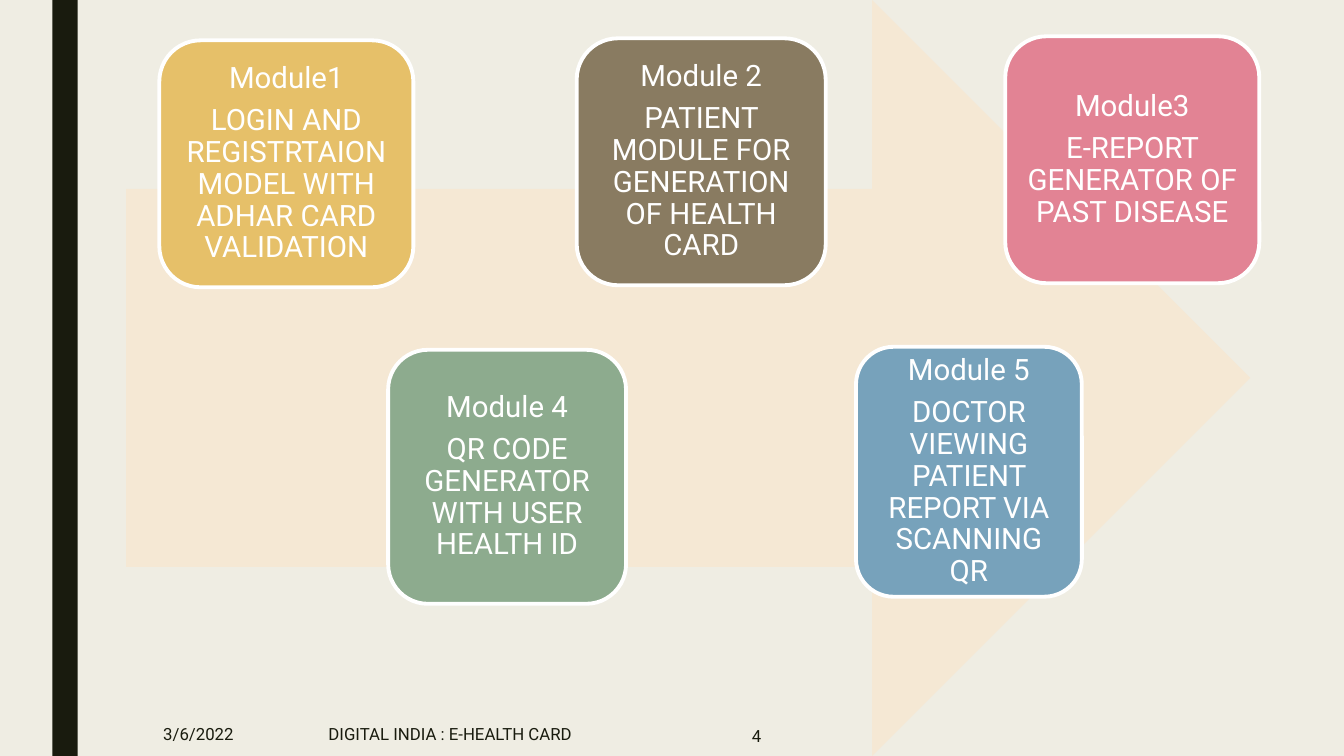
from pptx import Presentation
from pptx.dml.color import RGBColor
from pptx.enum.shapes import MSO_SHAPE
from pptx.enum.text import MSO_ANCHOR, PP_ALIGN
from pptx.util import Inches, Pt

FONT = "Roboto"
INK = "191B0E"
WHITE = "FFFFFF"
MODULE_SIZE = 21
FOOTER_SIZE = 12

# title, description, fill, (left, top, width, height)
MODULES = [
    ("Module1", "LOGIN AND REGISTRTAION MODEL WITH ADHAR CARD VALIDATION",
     "E6C069", (1.58, 0.4, 2.52, 2.45)),
    ("Module 2", "PATIENT MODULE FOR GENERATION OF HEALTH CARD",
     "897B61", (5.72, 0.38, 2.47, 2.45)),
    ("Module 4", "QR CODE GENERATOR WITH USER HEALTH ID",
     "8DAB8E", (3.85, 3.47, 2.36, 2.52)),
    ("Module 5", "DOCTOR VIEWING PATIENT REPORT VIA SCANNING QR",
     "77A2BB", (8.49, 3.44, 2.24, 2.48)),
    ("Module3", "E-REPORT GENERATOR OF PAST DISEASE",
     "E28394", (9.97, 0.36, 2.52, 2.45)),
]

FOOTERS = [
    ("3/6/2022", (1.52, 7.06, 1.32, 0.44), PP_ALIGN.LEFT),
    ("DIGITAL INDIA : E-HEALTH CARD", (3.16, 7.06, 6.87, 0.44), PP_ALIGN.LEFT),
    ("4", (5.9, 7.08, 1.75, 0.44), PP_ALIGN.RIGHT),
]


def paint(color_format, color):
    color_format.rgb = RGBColor.from_string(color)


def add_plain_shape(page, preset, place, fill):
    """Add a filled preset shape without outline or shadow."""
    shape = page.shapes.add_shape(preset, *map(Inches, place))
    shape.shadow.inherit = False
    shape.fill.solid()
    paint(shape.fill.fore_color, fill)
    shape.line.fill.background()
    return shape


def add_span(para, text, size, color):
    span = para.add_run()
    span.text = text
    span.font.name = FONT
    span.font.size = Pt(size)
    paint(span.font.color, color)


def add_module(page, title, description, fill, place):
    card = add_plain_shape(page, MSO_SHAPE.ROUNDED_RECTANGLE, place, fill)
    card.line.width = Pt(2.75)
    paint(card.line.color, WHITE)

    frame = card.text_frame
    frame.word_wrap = True
    frame.vertical_anchor = MSO_ANCHOR.MIDDLE
    frame.margin_left = frame.margin_right = Inches(0.09)
    frame.margin_top = frame.margin_bottom = Inches(0.09)
    for para, text in ((frame.paragraphs[0], title),
                       (frame.add_paragraph(), description)):
        para.alignment = PP_ALIGN.CENTER
        para.line_spacing = 0.9
        para.space_after = Pt(0.35 * MODULE_SIZE)
        add_span(para, text, MODULE_SIZE, WHITE)


def add_footer(page, text, place, alignment):
    box = page.shapes.add_textbox(*map(Inches, place))
    frame = box.text_frame
    frame.word_wrap = True
    frame.vertical_anchor = MSO_ANCHOR.MIDDLE
    para = frame.paragraphs[0]
    para.alignment = alignment
    add_span(para, text, FOOTER_SIZE, INK)


def main():
    deck = Presentation()
    deck.slide_width = Inches(13.33)
    deck.slide_height = Inches(7.5)
    page = deck.slides.add_slide(deck.slide_layouts[6])
    page.background.fill.solid()
    paint(page.background.fill.fore_color, "EFEDE3")

    add_plain_shape(page, MSO_SHAPE.RECTANGLE, (0.52, 0, 0.25, 7.5), INK)
    add_plain_shape(page, MSO_SHAPE.RIGHT_ARROW, (1.25, 0, 11.15, 7.5), "F5E8D4")
    for module in MODULES:
        add_module(page, *module)
    for footer in FOOTERS:
        add_footer(page, *footer)

    deck.save("out.pptx")


if __name__ == "__main__":
    main()
